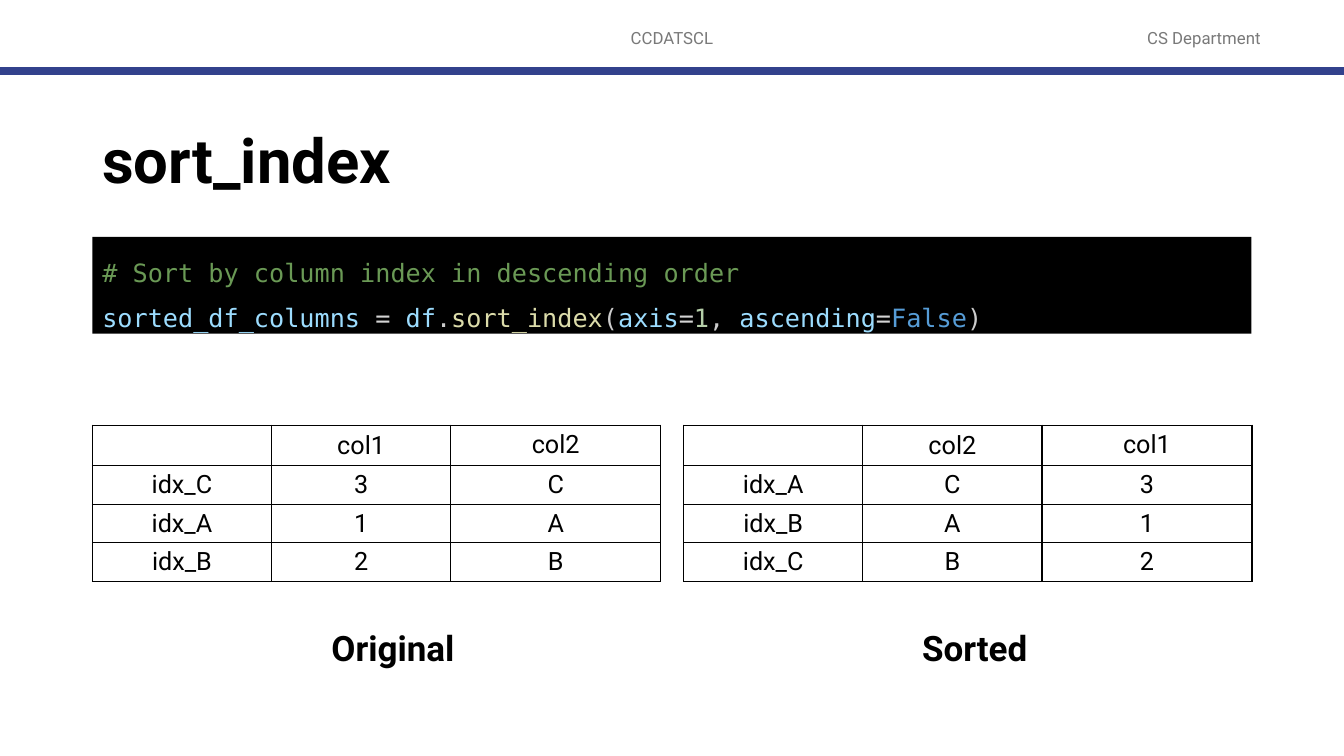
"""Build the sort_index slide: a code sample over two tables."""
from lxml import etree
from pptx import Presentation, util as u
from pptx.dml.color import RGBColor
from pptx.enum import shapes as s, text as t
from pptx.oxml.ns import qn

Pt = u.Pt


def paint(hue):
    return RGBColor.from_string(hue)


def label(box, words, size, hue="000000", bold=False, align=t.PP_ALIGN.LEFT):
    para = box.text_frame.paragraphs[0]
    para.text = words
    para.alignment = align
    para.font.name = "Roboto"
    para.font.size = Pt(size)
    para.font.bold = bold
    para.font.color.rgb = paint(hue)
    return para


deck = Presentation()
deck.slide_width, deck.slide_height = Pt(960), Pt(540)
slide = deck.slides.add_slide(deck.slide_layouts[6])
items = slide.shapes
mid = t.MSO_ANCHOR.MIDDLE

for words, left, width in [("CCDATSCL", 318, 324), ("CS Department", 786, 148)]:
    box = items.add_textbox(Pt(left), Pt(12.4), Pt(width), Pt(28.8))
    box.text_frame.word_wrap = True
    box.text_frame.vertical_anchor = mid
    label(box, words, 12, "797979", align=t.PP_ALIGN.CENTER)

rule = items.add_connector(s.MSO_CONNECTOR.STRAIGHT, 0, Pt(50.6), Pt(960), Pt(50.6))
rule.line.color.rgb = paint("32418C")
rule.line.width = Pt(6)
etree.SubElement(rule.element.spPr, qn("a:effectLst"))

title = items.add_textbox(Pt(66), Pt(64.8), Pt(828), Pt(104.4))
title.text_frame.word_wrap = True
title.text_frame.vertical_anchor = mid
label(title, "sort_index", 44, bold=True).line_spacing = 0.9

code = items.add_shape(s.MSO_SHAPE.RECTANGLE, Pt(66), Pt(169.2), Pt(828), Pt(69.1))
code.shadow.inherit = False
code.fill.solid()
code.fill.fore_color.rgb = paint("000000")
code.line.fill.background()
frame = code.text_frame
frame.word_wrap = True
frame.vertical_anchor = t.MSO_ANCHOR.TOP
name, sign, mark = "9CDCFE", "D4D4D4", "CCCCCC"
lines = [
    [("# Sort by column index in descending order", "6A9955")],
    [("sorted_df_columns ", name), ("= ", sign), ("df", name), (".", mark),
     ("sort_index", "DCDCAA"), ("(", mark), ("axis", name), ("=", sign),
     ("1", "B5CEA8"), (", ", mark), ("ascending", name), ("=", sign),
     ("False", "569CD6"), (")", mark)],
]
for i, line in enumerate(lines):
    para = frame.add_paragraph() if i else frame.paragraphs[0]
    para.alignment = t.PP_ALIGN.LEFT
    para.line_spacing = 1.5
    para.font.name = "DejaVu Sans Mono"
    para.font.size = Pt(18)
    for words, hue in line:
        run = para.add_run()
        run.text = words
        run.font.color.rgb = paint(hue)

tables = [
    (488.3, [["", "col2", "col1"], ["idx_A", "C", "3"],
             ["idx_B", "A", "1"], ["idx_C", "B", "2"]]),
    (66, [["", "col1", "col2"], ["idx_C", "3", "C"],
          ["idx_A", "1", "A"], ["idx_B", "2", "B"]]),
]
for left, rows in tables:
    grid = items.add_table(4, 3, Pt(left), Pt(303.8), Pt(406), Pt(111.6)).table
    grid.first_row = grid.horz_banding = False
    for col, width in zip(grid.columns, (128, 128, 150)):
        col.width = Pt(width)
    for row, high in zip(grid.rows, (28.8, 27.6, 27.6, 27.6)):
        row.height = Pt(high)
    for r, row in enumerate(rows):
        for c, words in enumerate(row):
            cell = grid.cell(r, c)
            label(cell, words, 18, align=t.PP_ALIGN.CENTER)
            if (r, c) != (0, 2):
                cell.vertical_anchor = mid
                cell.margin_left = cell.margin_right = Pt(5.76)
                cell.margin_top = cell.margin_bottom = Pt(2.88)
            props = cell._tc.get_or_add_tcPr()
            for side in ("lnL", "lnR", "lnT", "lnB"):
                edge = etree.SubElement(props, qn("a:" + side), w=str(Pt(1)))
                fill = etree.SubElement(edge, qn("a:solidFill"))
                etree.SubElement(fill, qn("a:srgbClr"), val="000000")
            cell.fill.background()

for words, left, width in [("Original", 229.7, 110.2), ("Sorted", 651.6, 91.4)]:
    box = items.add_textbox(Pt(left), Pt(444.2), Pt(width), Pt(37.4))
    box.text_frame.word_wrap = False
    label(box, words, 25, bold=True)

deck.save("out.pptx")
